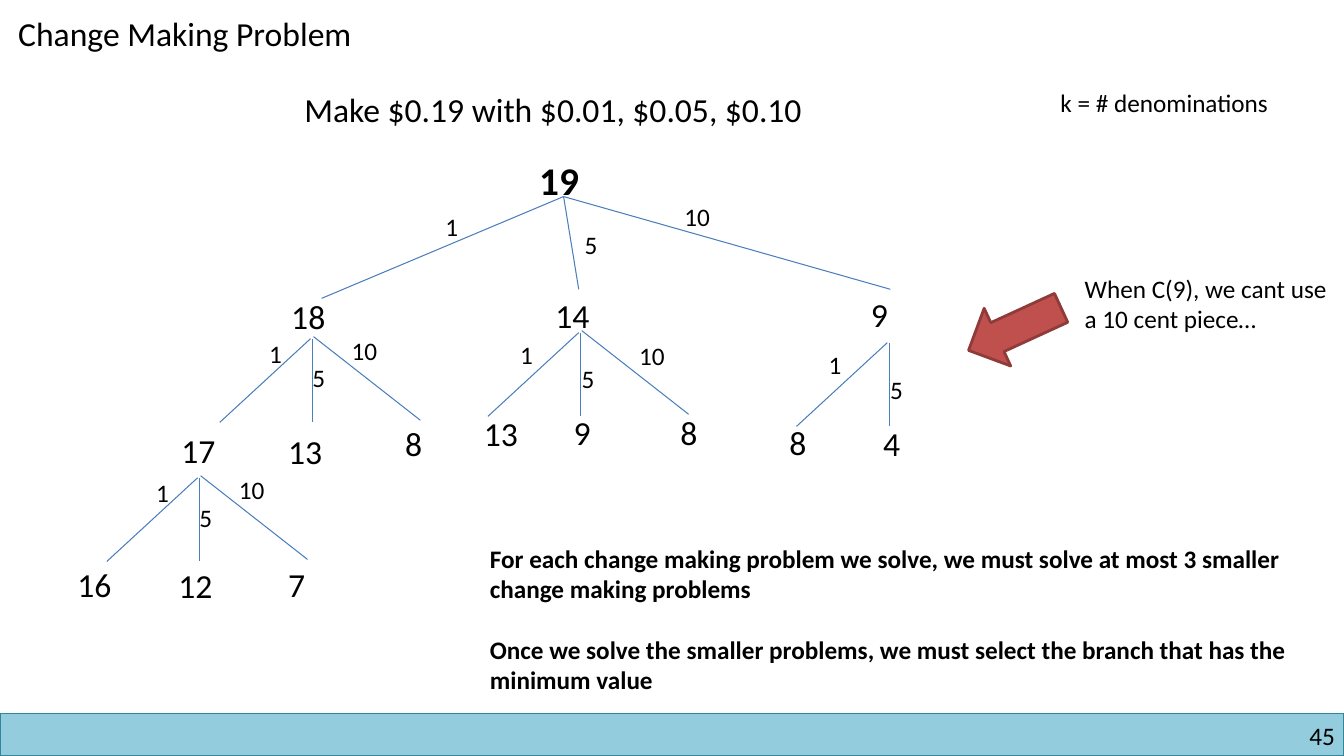
from lxml import etree
from pptx import Presentation, util as u
from pptx.dml.color import RGBColor
from pptx.enum import shapes, text
from pptx.oxml.ns import qn

FONT = "Calibri"
BLACK, BRANCH = "000000", "4B7EBC"
BAND, BAND_EDGE = "93CDDD", "31859C"
ARROW, ARROW_EDGE = "C0504D", "8E3B39"

TITLE = "Change Making Problem"
# text, (left, top, width, height), size, bold
NOTES = [
    (["Make $0.19 with $0.01, $0.05, $0.10"], (2.92, 0.83, 5.65, 0.5), 24, False),
    (["k = # denominations"], (10.42, 0.82, 2.47, 0.4), 18, False),
    (["When C(9), we cant use a 10 cent piece…"], (10.66, 2.66, 2.68, 0.71), 18, False),
    (["For each change making problem we solve, we must solve at most 3 smaller "
      "change making problems",
      "Once we solve the smaller problems, we must select the branch that has the "
      "minimum value"], (4.76, 5.34, 8.32, 1.62), 18, True),
]

COINS = ("1", "5", "10")
# Amount still to change: left, top
AMOUNTS = [
    ("18", 2.79, 2.89), ("14", 5.41, 2.88), ("9", 8.54, 2.87),
    ("17", 1.7, 4.22), ("13", 2.76, 4.23), ("8", 3.92, 4.15),
    ("13", 4.7, 4.05), ("9", 5.59, 4.04), ("8", 6.65, 4.04),
    ("8", 7.73, 4.14), ("4", 8.66, 4.15),
    ("16", 0.67, 5.55), ("12", 1.67, 5.56), ("7", 2.76, 5.55),
]

# Offsets from the apex of a fan, one per coin: start x, start y, end x, end y
ROOT_LINES = [(0, 0, -2.4, 1.01), (0, 0, 0.15, 0.92), (0, 0, 3.24, 0.92)]
FAN_LINES = [(-0.02, 0, -0.92, 0.83), (0, 0, 0, 0.83), (0.01, -0.02, 1.07, 0.81)]
ROOT_LABELS = [(-1.27, 0.1), (0.11, 0.28), (1.1, 0)]
NEAR_LABELS = [(-0.53, -0.05), (-0.1, 0.19), (0.29, -0.08)]
FAR_LABELS = [(-0.7, 0.02), (-0.09, 0.26), (0.48, 0.03)]
# Apex x, apex y, number of coins that fit, lines, label places
FANS = [
    (5.59, 1.95, 3, ROOT_LINES, ROOT_LABELS),
    (3.1, 3.36, 3, FAN_LINES, NEAR_LABELS),
    (1.98, 4.74, 3, FAN_LINES, NEAR_LABELS),
    (5.76, 3.3, 3, FAN_LINES, FAR_LABELS),
    (8.82, 3.4, 2, FAN_LINES, FAR_LABELS),
]


def color(value):
    return RGBColor.from_string(value)


def style_paragraph(paragraph, size, bold=False):
    font = paragraph.font
    font.name, font.size, font.bold = FONT, u.Pt(size), bold
    font.color.rgb = color(BLACK)


def add_text(slide, lines, box, size, bold=False, wrap=True):
    shape = slide.shapes.add_textbox(*map(u.Inches, box))
    frame = shape.text_frame
    frame.word_wrap = wrap
    frame.text = "\n".join(lines)
    for index, paragraph in enumerate(frame.paragraphs):
        style_paragraph(paragraph, size, bold)
        if index:
            paragraph.space_before = u.Pt(22)
    return shape


def add_number(slide, number, left, top, size, bold=False):
    """Place a number in a box as wide as its digits need."""
    width = 0.2 + 0.0079 * size * len(number)
    height = 0.1 + size / 60
    add_text(slide, [number], (left, top, width, height), size, bold, wrap=False)


def add_branch(slide, *ends):
    line = slide.shapes.add_connector(
        shapes.MSO_CONNECTOR.STRAIGHT, *map(u.Inches, ends))
    line.line.color.rgb = color(BRANCH)
    line.line.width = u.Pt(0.75)
    etree.SubElement(line._element.spPr, qn("a:effectLst"))


def add_solid(slide, kind, box, fill, edge, edge_width):
    shape = slide.shapes.add_shape(kind, *map(u.Inches, box))
    shape.shadow.inherit = False
    shape.fill.solid()
    shape.fill.fore_color.rgb = color(fill)
    shape.line.color.rgb = color(edge)
    shape.line.width = u.Pt(edge_width)
    return shape


def add_title(slide):
    title = slide.shapes.title
    title.left, title.top = u.Inches(0.08), u.Inches(0.08)
    title.width, title.height = u.Inches(3.91), u.Inches(0.5)
    frame = title.text_frame
    frame.text = TITLE
    frame.word_wrap = False
    frame.auto_size = text.MSO_AUTO_SIZE.NONE
    frame.vertical_anchor = text.MSO_ANCHOR.TOP
    frame.paragraphs[0].alignment = text.PP_ALIGN.LEFT
    style_paragraph(frame.paragraphs[0], 24)


def add_page_number(slide):
    frame = add_text(slide, ["45"], (10.17, 7.15, 3.07, 0.3), 18).text_frame
    frame.margin_left = frame.margin_right = 0
    frame.margin_top = frame.margin_bottom = 0
    frame.paragraphs[0].alignment = text.PP_ALIGN.RIGHT


def main():
    presentation = Presentation()
    presentation.slide_width = u.Inches(13.33)
    presentation.slide_height = u.Inches(7.5)
    slide = presentation.slides.add_slide(presentation.slide_layouts[5])

    add_solid(slide, shapes.MSO_SHAPE.RECTANGLE, (0, 7.08, 13.33, 0.42),
              BAND, BAND_EDGE, 1)
    add_page_number(slide)
    add_title(slide)
    for note in NOTES:
        add_text(slide, *note)

    add_number(slide, "19", 5.25, 1.5, 28, bold=True)
    for amount, left, top in AMOUNTS:
        add_number(slide, amount, left, top, 24)
    for x, y, count, lines, labels in FANS:
        fan = list(zip(COINS, lines, labels))[:count]
        for coin, (x1, y1, x2, y2), (label_x, label_y) in fan:
            add_branch(slide, x + x1, y + y1, x + x2, y + y2)
            add_number(slide, coin, x + label_x, y + label_y, 18)

    arrow = add_solid(slide, shapes.MSO_SHAPE.RIGHT_ARROW, (9.56, 2.95, 1.01, 0.63),
                      ARROW, ARROW_EDGE, 2)
    arrow.rotation = 155.3
    presentation.save("out.pptx")


if __name__ == "__main__":
    main()
